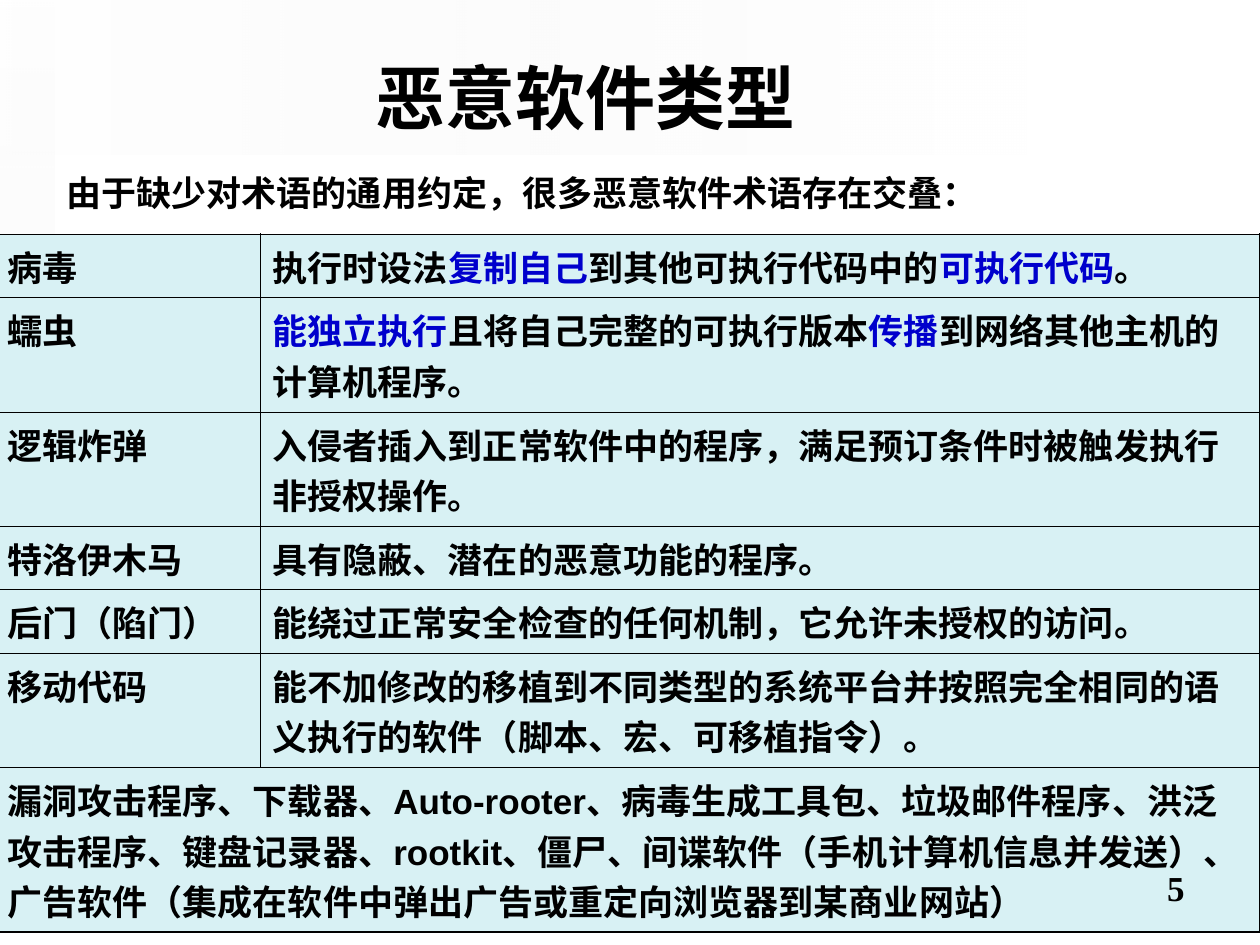
from dataclasses import dataclass

from lxml.etree import SubElement
from pptx import Presentation
from pptx.dml.color import RGBColor
from pptx.enum.lang import MSO_LANGUAGE_ID as Language
from pptx.enum.shapes import MSO_SHAPE as Shape
from pptx.enum.text import MSO_ANCHOR as Anchor, PP_ALIGN as Align
from pptx.oxml.ns import qn
from pptx.slide import Slide
from pptx.table import _Cell as Cell
from pptx.text.text import TextFrame
from pptx.util import Emu, Inches, Pt

WIDTH, HEIGHT = Inches(10), Inches(7.5)
BLACK, BLUE, PALE_CYAN, GREY, WHITE = "000000", "0000CC", "D8F1F4", "EAEAEA", "FFFFFF"
THIN, THICK = Pt(0.45), Pt(1.08)
TERM_SHARE = 20.96
ROW_PADDING, LINE_HEIGHT = 0.75, 40.3


@dataclass(frozen=True)
class Box:
    """Left, top, width and height as percentages of the slide."""
    left: float
    top: float
    width: float
    height: float

    def lengths(self) -> tuple[Emu, ...]:
        """Return the four lengths in slide units."""
        shares = (self.left, self.top, self.width, self.height)
        return tuple(Emu(round(share * side / 100)) for share, side in zip(shares, (WIDTH, HEIGHT) * 2))


@dataclass(frozen=True)
class Band:
    """A background band that fades from clear grey to translucent white."""
    box: Box
    rotation: int
    angle: int
    opacity: int


@dataclass(frozen=True)
class Label:
    """A text box with one paragraph."""
    box: Box
    text: str
    size: int
    font: str = "Arial"
    align: Align = Align.LEFT
    anchor: Anchor = Anchor.TOP


@dataclass(frozen=True)
class Malware:
    """A table row; bars enclose the highlighted parts of its meaning."""
    term: str
    meaning: str = ""
    lines: int = 1


BANDS = [
    Band(Box(34.6, -46.13, 12.3, 108.67), 90, 270, 49),
    Band(Box(0, 0, 4.3, 96.8), 180, 270, 65),
]
LABELS = [
    Label(Box(2.75, 3.73, 87.4, 12.93), "恶意软件类型", 40, align=Align.CENTER, anchor=Anchor.MIDDLE),
    Label(Box(4.3, 17.47, 89.8, 71.33), "由于缺少对术语的通用约定，很多恶意软件术语存在交叠：", 20),
]
PAGE_NUMBER = Label(Box(71.7, 91.07, 23.3, 6.93), "5", 20, "Times New Roman", Align.RIGHT)
TABLE_BOX = Box(-0.4, 24.8, 100.4, 73.87)
ROWS = [
    Malware("病毒", "执行时设法|复制自己|到其他可执行代码中的|可执行代码|。"),
    Malware("蠕虫", "|能独立执行|且将自己完整的可执行版本|传播|到网络其他主机的计算机程序。", 2),
    Malware("逻辑炸弹", "入侵者插入到正常软件中的程序，满足预订条件时被触发执行非授权操作。", 2),
    Malware("特洛伊木马", "具有隐蔽、潜在的恶意功能的程序。"),
    Malware("后门（陷门）", "能绕过正常安全检查的任何机制，它允许未授权的访问。"),
    Malware("移动代码", "能不加修改的移植到不同类型的系统平台并按照完全相同的语义执行的软件（脚本、宏、可移植指令）。", 2),
    Malware("漏洞攻击程序、下载器、Auto-rooter、病毒生成工具包、垃圾邮件程序、洪泛攻击程序、"
            "键盘记录器、rootkit、僵尸、间谍软件（手机计算机信息并发送）、"
            "广告软件（集成在软件中弹出广告或重定向浏览器到某商业网站）", lines=3),
]


def color(value: str) -> RGBColor:
    """Turn a hex string into a colour."""
    return RGBColor.from_string(value)


def write_text(frame: TextFrame, text: str, size: int, font: str = "Arial") -> None:
    """Write bold text without hanging punctuation, with the parts between bars in blue."""
    paragraph = frame.paragraphs[0]
    paragraph._p.get_or_add_pPr().set("hangingPunct", "0")
    for index, part in enumerate(text.split("|")):
        if part:
            run = paragraph.add_run()
            run.text = part
            run.font.name, run.font.size, run.font.bold = font, Pt(size), True
            run.font.language_id = Language.SIMPLIFIED_CHINESE
            run.font.color.rgb = color(BLUE if index % 2 else BLACK)


def draw_band(slide: Slide, band: Band) -> None:
    """Draw a band with a fading gradient and no outline."""
    shape = slide.shapes.add_shape(Shape.RECTANGLE, *band.box.lengths())
    shape.rotation = band.rotation
    shape.shadow.inherit = False
    shape.line.fill.background()
    shape.fill.gradient()
    for stop, value in zip(shape.fill.gradient_stops, (GREY, WHITE)):
        stop.color.rgb = color(value)
    gradient = shape.element.spPr.find(qn("a:gradFill"))
    for element, opacity in zip(gradient.iter(qn("a:srgbClr")), (0, band.opacity)):
        SubElement(element, qn("a:alpha"), val=str(opacity * 1000))
    gradient.find(qn("a:lin")).set("ang", str(band.angle * 60000))


def draw_label(slide: Slide, label: Label) -> None:
    """Draw a wrapping text box."""
    frame = slide.shapes.add_textbox(*label.box.lengths()).text_frame
    frame.word_wrap = True
    frame.vertical_anchor = label.anchor
    frame.paragraphs[0].alignment = label.align
    write_text(frame, label.text, label.size, label.font)


def style_cell(cell: Cell, borders: dict[str, Emu]) -> None:
    """Give a cell its borders, fill and margins."""
    properties = cell._tc.get_or_add_tcPr()
    for side, width in borders.items():
        line = SubElement(properties, qn(f"a:ln{side}"), w=str(width))
        SubElement(SubElement(line, qn("a:solidFill")), qn("a:srgbClr"), val=BLACK)
    cell.fill.solid()
    cell.fill.fore_color.rgb = color(PALE_CYAN)
    cell.margin_left = cell.margin_right = Inches(0.1)
    cell.margin_top = cell.margin_bottom = Inches(0.05)


def draw_table(slide: Slide, box: Box, rows: list[Malware]) -> None:
    """Draw the malware table, merging rows that have no meaning column."""
    table = slide.shapes.add_table(len(rows), 2, *box.lengths()).table
    total_width, total_height = box.lengths()[2:]
    table.columns[0].width = Emu(round(total_width * TERM_SHARE / 100))
    table.columns[1].width = total_width - table.columns[0].width
    padding = Inches(0.1)
    line_height = (total_height - padding * len(rows)) / sum(row.lines for row in rows)
    last = len(rows) - 1
    for index, row in enumerate(rows):
        table.rows[index].height = Emu(round(padding + line_height * row.lines))
        term, meaning = table.cell(index, 0), table.cell(index, 1)
        top, bottom = THICK if index == 0 else THIN, THICK if index == last else THIN
        merged = not row.meaning
        style_cell(term, {"L": THICK, "R": THICK if merged else THIN, "T": top, "B": bottom})
        style_cell(meaning, {"L": THIN, "R": THICK, "T": top, "B": bottom})
        write_text(term.text_frame, row.term, 20)
        if merged:
            term.merge(meaning)
        else:
            write_text(meaning.text_frame, row.meaning, 20)


def main() -> None:
    """Build and save the presentation."""
    presentation = Presentation()
    presentation.slide_width, presentation.slide_height = WIDTH, HEIGHT
    slide = presentation.slides.add_slide(presentation.slide_layouts[6])
    for band in BANDS:
        draw_band(slide, band)
    for label in LABELS:
        draw_label(slide, label)
    draw_table(slide, TABLE_BOX, ROWS)
    draw_label(slide, PAGE_NUMBER)
    presentation.save("out.pptx")


if __name__ == "__main__":
    main()
